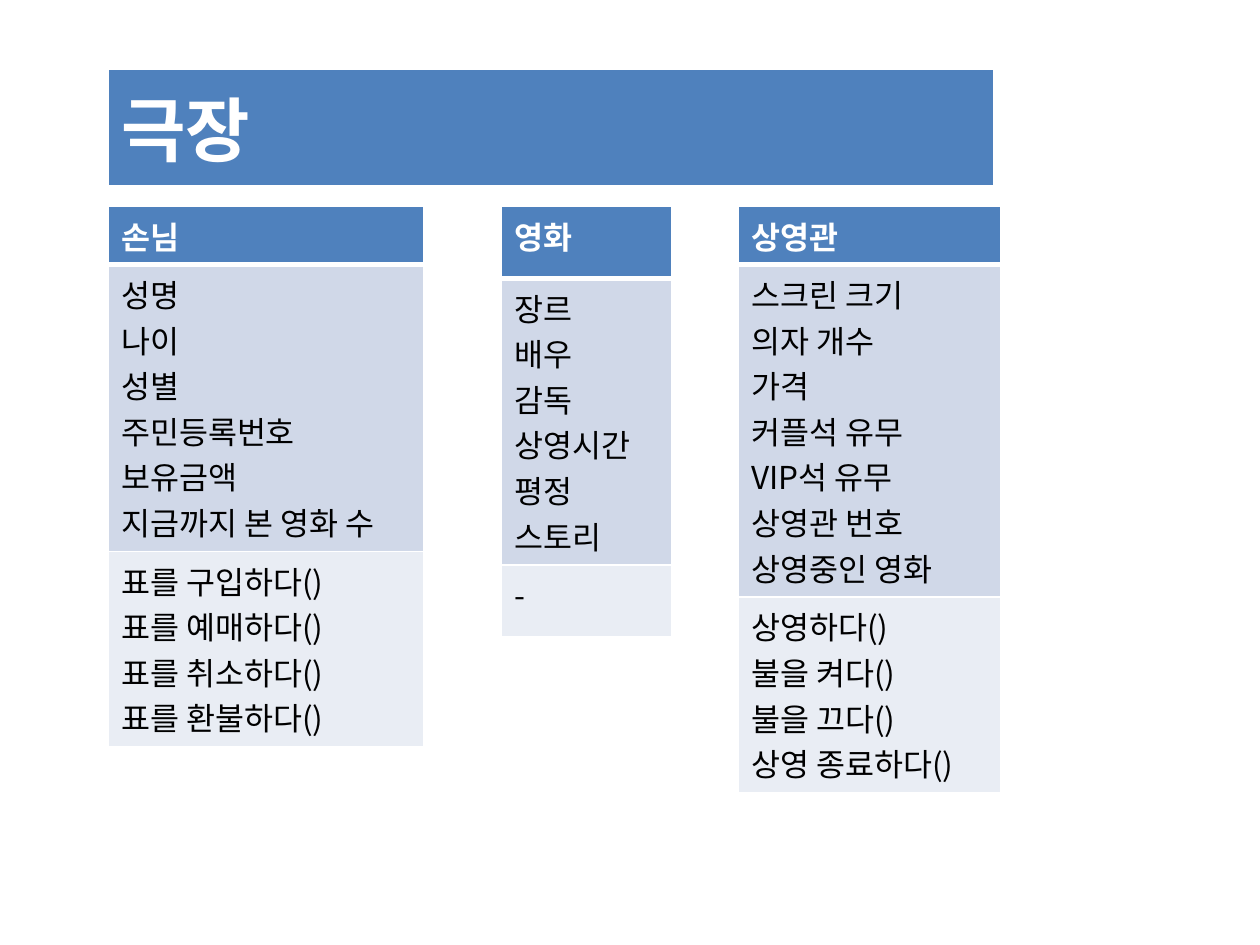
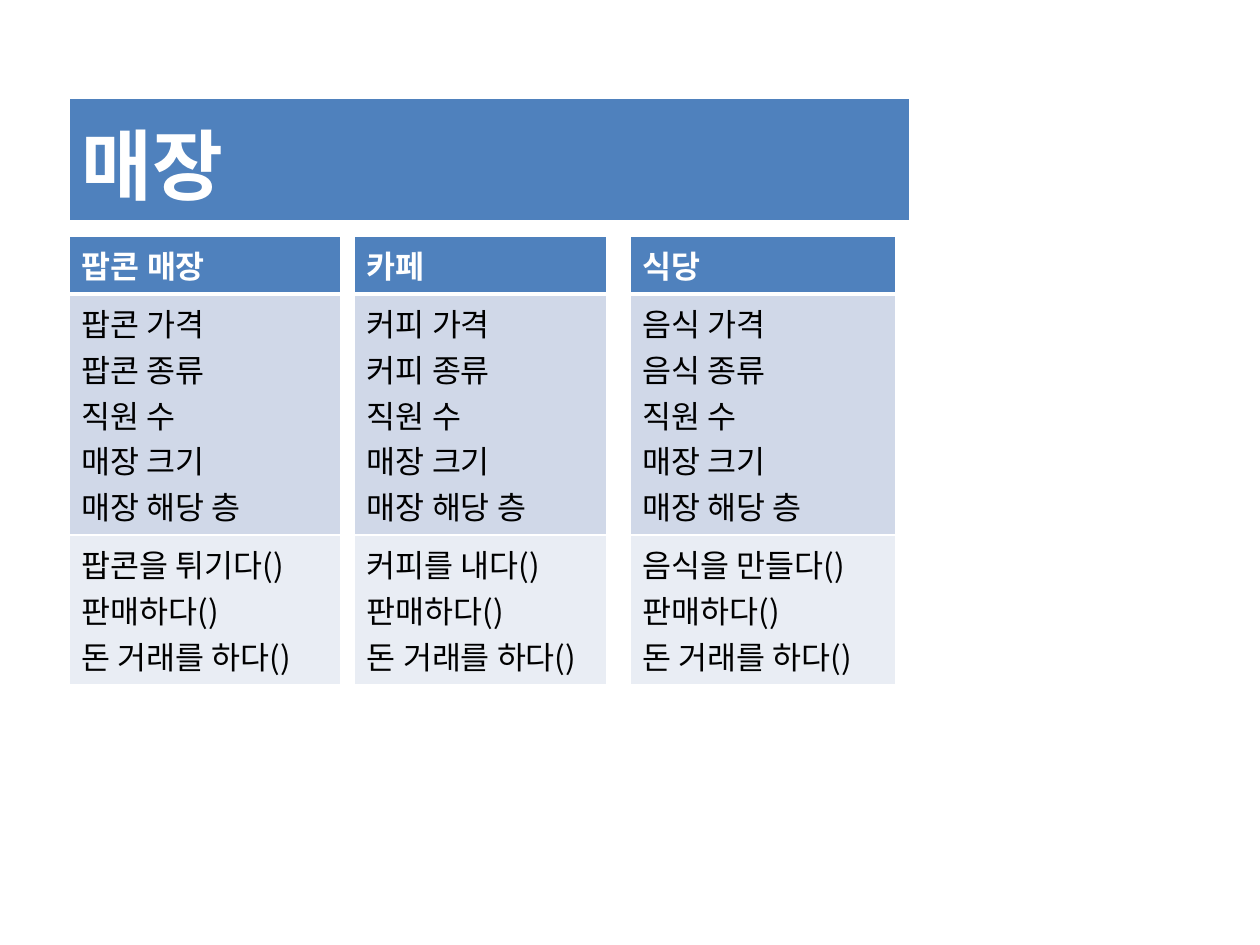
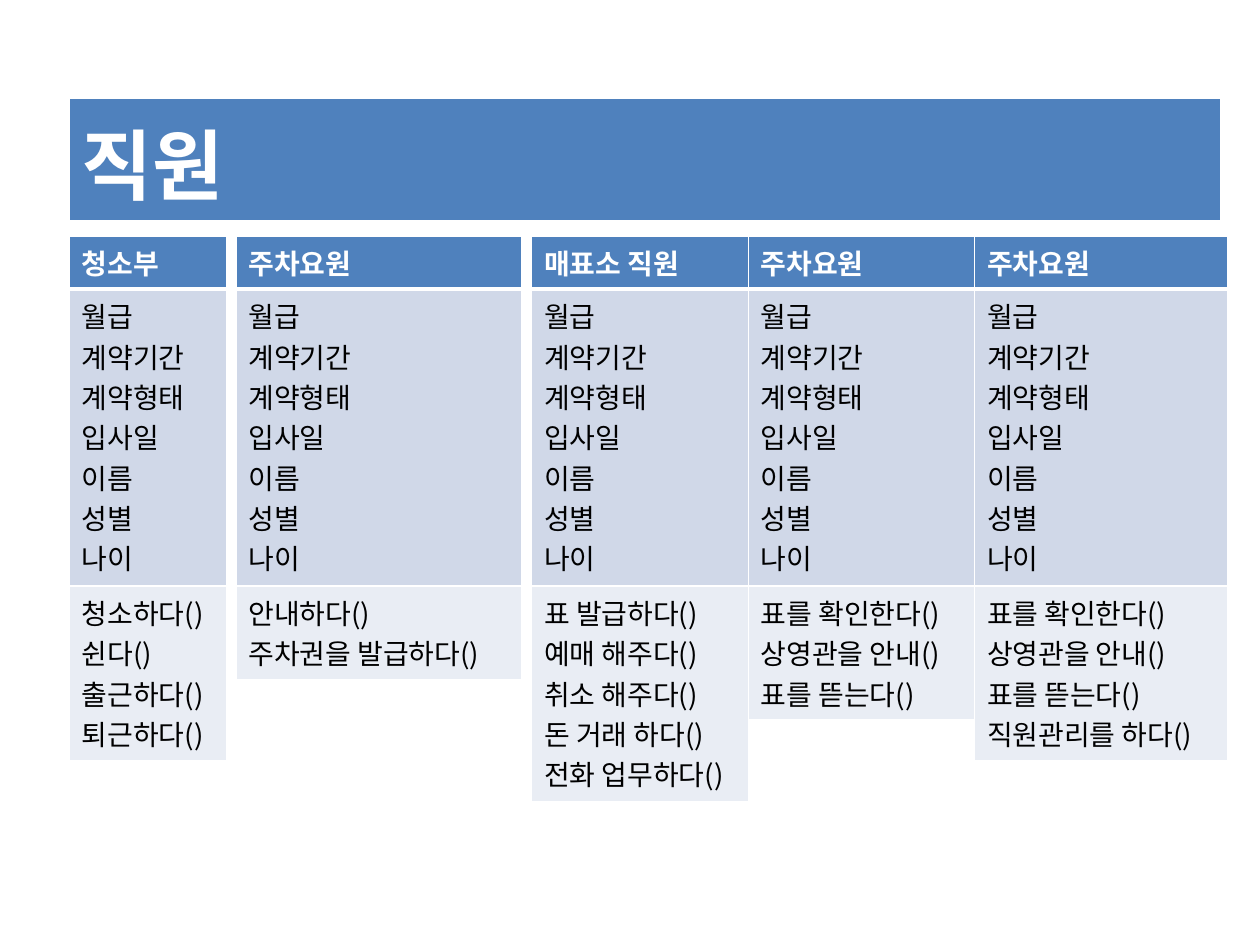
"""Build three slides of class cards for a cinema: theatre, shops and staff."""
from lxml.etree import SubElement
from pptx import Presentation
from pptx.dml.color import RGBColor
from pptx.oxml.ns import qn
from pptx.util import Pt

FONT = "Noto Sans CJK KR"
WHITE, BLACK = "FFFFFF", "000000"
HEADER, FIELDS, METHODS = "4F81BD", "D0D8E8", "E9EDF4"
LINE_HEIGHT = 1.45
CELL_PADDING = 7.2
SHOP_FIELDS = ["직원 수", "매장 크기", "매장 해당 층"]
SHOP_METHODS = ["판매하다()", "돈 거래를 하다()"]
STAFF_FIELDS = ["월급", "계약기간", "계약형태", "입사일", "이름", "성별", "나이"]
TICKET_METHODS = ["표를 확인한다()", "상영관을 안내()", "표를 뜯는다()"]


def color(value):
    return RGBColor.from_string(value)


def add_card(slide, left, top, width, size, sections, minimum=30):
    heights = [max(minimum, len(lines) * size * LINE_HEIGHT + CELL_PADDING) for lines in sections]
    frame = slide.shapes.add_table(
        len(sections), 1, Pt(left), Pt(top), Pt(width), Pt(sum(heights)))
    table = frame.table
    fills = [HEADER, FIELDS, METHODS]
    for index, (lines, height, fill) in enumerate(zip(sections, heights, fills)):
        table.rows[index].height = Pt(height)
        cell = table.cell(index, 0)
        properties = cell._tc.get_or_add_tcPr()
        for side in ("L", "R", "T", "B"):
            thick = (index, side) in ((0, "B"), (1, "T"))
            border = SubElement(properties, qn(f"a:ln{side}"), w=str(Pt(3 if thick else 1)))
            SubElement(SubElement(border, qn("a:solidFill")), qn("a:srgbClr"), val=WHITE)
        cell.fill.solid()
        cell.fill.fore_color.rgb = color(fill)
        cell.text = "\n".join(lines)
        for paragraph in cell.text_frame.paragraphs:
            font = paragraph.font
            font.name = FONT
            font.size = Pt(size)
            font.bold = index == 0
            font.color.rgb = color(WHITE if index == 0 else BLACK)
            default = paragraph._p.pPr.find(qn("a:defRPr"))
            SubElement(default, qn("a:ea"), typeface=FONT)


slides = [
    {
        "title": ("극장", 62, 39.6, 506, 40, 67.7),
        "top": 118,
        "size": 18,
        "cards": [
            (62, 180, 30, "손님",
             ["성명", "나이", "성별", "주민등록번호", "보유금액", "지금까지 본 영화 수"],
             ["표를 구입하다()", "표를 예매하다()", "표를 취소하다()", "표를 환불하다()"]),
            (286.6, 97, 41, "영화",
             ["장르", "배우", "감독", "상영시간", "평정", "스토리"], ["-"]),
            (422, 149.8, 30, "상영관",
             ["스크린 크기", "의자 개수", "가격", "커플석 유무", "VIP석 유무", "상영관 번호",
              "상영중인 영화"],
             ["상영하다()", "불을 켜다()", "불을 끄다()", "상영 종료하다()"]),
        ],
    },
    {
        "title": ("매장", 39.6, 56.2, 480, 44, 30),
        "top": 134.8,
        "size": 18,
        "cards": [
            (39.6, 155.3, 30, "팝콘 매장",
             ["팝콘 가격", "팝콘 종류"] + SHOP_FIELDS, ["팝콘을 튀기다()"] + SHOP_METHODS),
            (202.5, 144.5, 30, "카페",
             ["커피 가격", "커피 종류"] + SHOP_FIELDS, ["커피를 내다()"] + SHOP_METHODS),
            (360, 152, 30, "식당",
             ["음식 가격", "음식 종류"] + SHOP_FIELDS, ["음식을 만들다()"] + SHOP_METHODS),
        ],
    },
    {
        "title": ("직원", 39.6, 56.2, 658, 44, 30),
        "top": 134.8,
        "size": 16,
        "cards": [
            (39.6, 90, 29, "청소부", STAFF_FIELDS,
             ["청소하다()", "쉰다()", "출근하다()", "퇴근하다()"]),
            (134.8, 163.4, 29, "주차요원", STAFF_FIELDS,
             ["안내하다()", "주차권을 발급하다()"]),
            (303.8, 123.8, 29, "매표소 직원", STAFF_FIELDS,
             ["표 발급하다()", "예매 해주다()", "취소 해주다()", "돈 거래 하다()",
              "전화 업무하다()"]),
            (427.6, 129.4, 29, "주차요원", STAFF_FIELDS, TICKET_METHODS),
            (556.8, 144.5, 29, "주차요원", STAFF_FIELDS, TICKET_METHODS + ["직원관리를 하다()"]),
        ],
    },
]

presentation = Presentation()
presentation.slide_width = Pt(720)
presentation.slide_height = Pt(540)

for content in slides:
    slide = presentation.slides.add_slide(presentation.slide_layouts[6])
    title, left, top, width, size, minimum = content["title"]
    add_card(slide, left, top, width, size, [[title]], minimum)
    for left, width, minimum, name, fields, methods in content["cards"]:
        add_card(slide, left, content["top"], width, content["size"],
                 [[name], fields, methods], minimum)

presentation.save("out.pptx")
